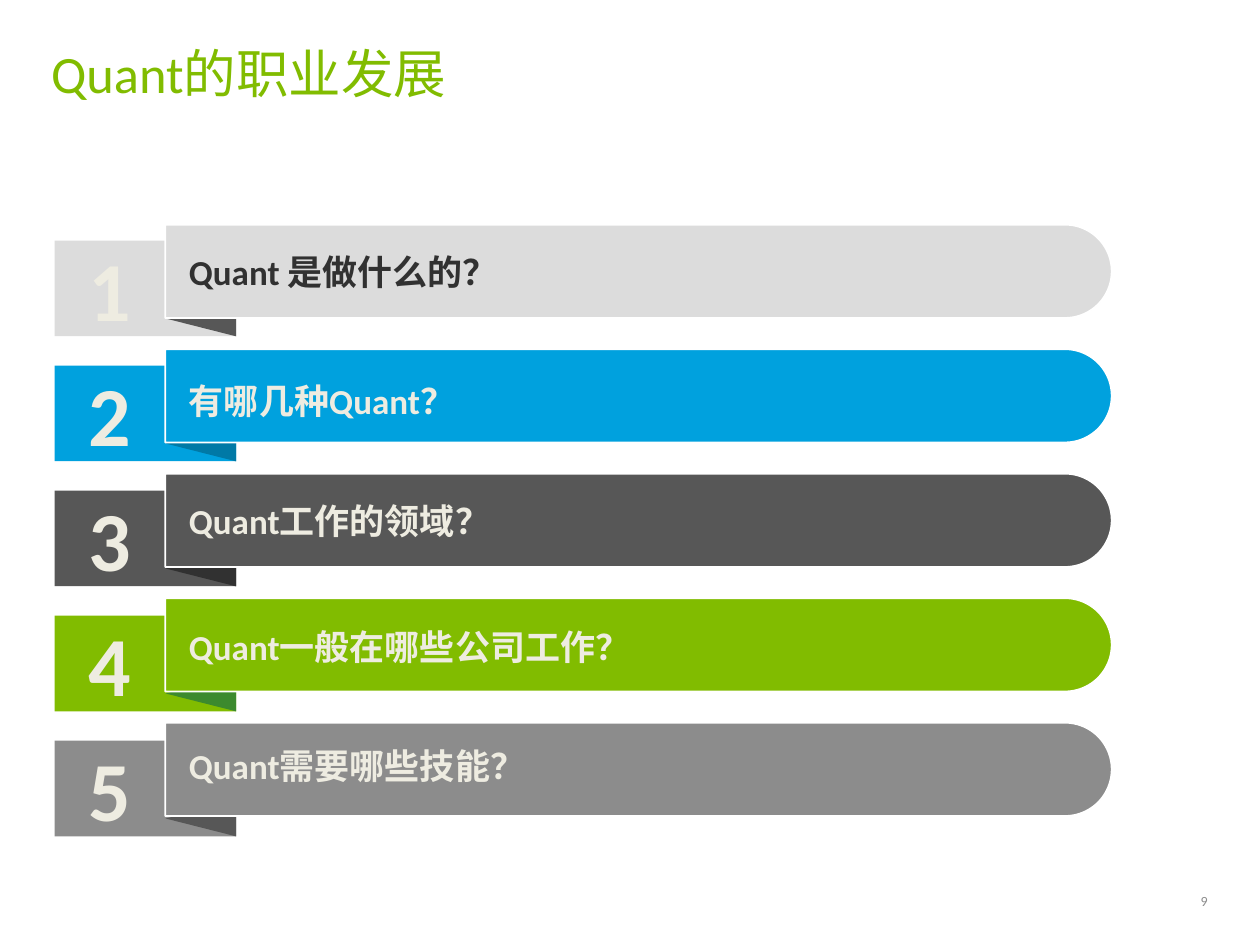
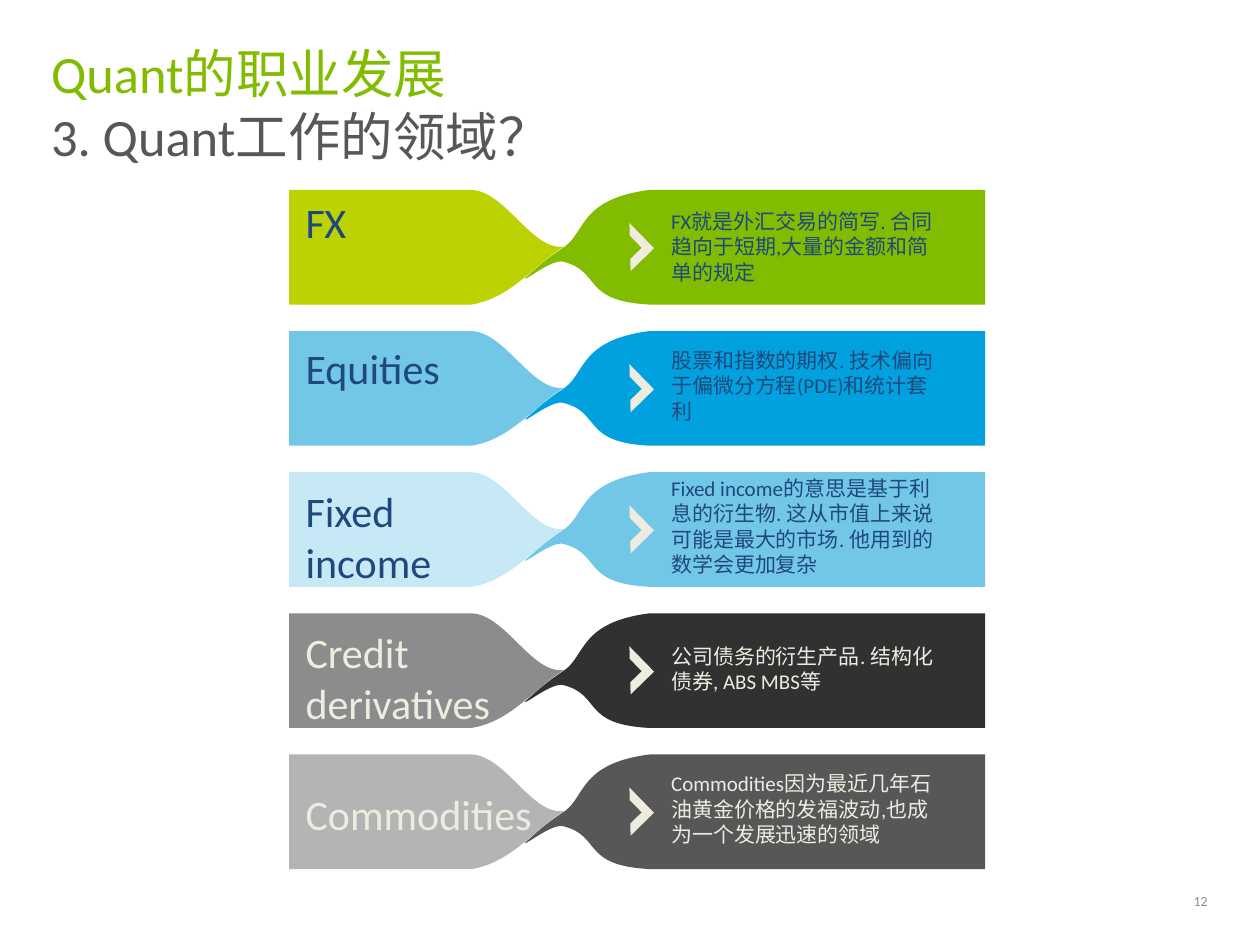
"""Builds two slides on quant careers: an agenda of ribbons and the fields of work."""
import dataclasses
import typing

import lxml.etree
import pptx
import pptx.dml.color
import pptx.enum.shapes
import pptx.enum.text
import pptx.oxml.ns
import pptx.util

Cm = pptx.util.Cm
Shape = pptx.enum.shapes.MSO_SHAPE
Align = pptx.enum.text.PP_ALIGN
Anchor = pptx.enum.text.MSO_ANCHOR
Fit = pptx.enum.text.MSO_AUTO_SIZE
qn = pptx.oxml.ns.qn
Point = tuple[float, float]


@dataclasses.dataclass(frozen=True)
class Theme:
    font: str = "Calibri"
    white: str = "FFFFFF"
    cream: str = "EEECE1"
    navy: str = "1F497D"
    green: str = "81BC00"
    forest: str = "3C8A2E"
    lime: str = "BDD203"
    blue: str = "00A1DE"
    deep_blue: str = "0079A6"
    sky: str = "72C7E7"
    ice: str = "C7E9F5"
    black: str = "313131"
    dark: str = "575757"
    gray: str = "8C8C8C"
    silver: str = "B4B4B4"
    pale: str = "DCDCDC"
    title_size: int = 30
    number_size: int = 48
    question_size: int = 20
    field_size: int = 24
    detail_size: int = 12
    footer_size: int = 8


THEME = Theme()


class Question(typing.NamedTuple):
    text: str
    top: float
    fill: str
    fold: str
    ink: str = THEME.cream


class Field(typing.NamedTuple):
    name: str
    name_top: float
    detail: str
    detail_top: float
    left_fill: str
    right_fill: str
    ink: str
    name_width: float = 4.09
    name_height: float = 1.22
    detail_height: float = 1.55


class Curve(typing.NamedTuple):
    first: Point
    second: Point
    end: Point


QUESTIONS = [
    Question("Quant 是做什么的？", 5.05, THEME.pale, THEME.dark, THEME.black),
    Question("有哪几种Quant？", 7.65, THEME.blue, THEME.deep_blue),
    Question("Quant工作的领域？", 10.06, THEME.dark, THEME.black),
    Question("Quant一般在哪些公司工作？", 12.6, THEME.green, THEME.forest),
    Question("Quant需要哪些技能？", 15.01, THEME.gray, THEME.dark),
]

FIELDS = [
    Field("FX", 3.86, "FX就是外汇交易的简写. 合同趋向于短期,大量的金额和简单的规定", 4.21,
          THEME.lime, THEME.green, THEME.navy, name_width=1.75),
    Field("Equities", 6.81, "股票和指数的期权. 技术偏向于偏微分方程(PDE)和统计套利", 7.01,
          THEME.sky, THEME.blue, THEME.navy),
    Field("Fixed income", 9.69,
          "Fixed income的意思是基于利息的衍生物. 这从市值上来说可能是最大的市场. 他用到的数学会更加复杂",
          9.59, THEME.ice, THEME.sky, THEME.navy, name_height=2.26, detail_height=2.06),
    Field("Credit derivatives", 12.54, "公司债务的衍生产品. 结构化债券, ABS MBS等", 12.97,
          THEME.gray, THEME.black, THEME.cream, name_height=2.26, detail_height=1.02),
    Field("Commodities", 15.8, "Commodities因为最近几年石油黄金价格的发福波动,也成为一个发展迅速的领域",
          15.54, THEME.silver, THEME.dark, THEME.cream, name_width=4.95),
]

LEFT_RIBBON = [
    (0, 0), (3.68, 0),
    Curve((4.37, 0.03), (4.9, 1.24), (5.54, 1.14)),
    Curve((4.93, 1.52), (4.47, 2.18), (3.68, 2.31)),
    (0, 2.31),
]
RIGHT_RIBBON = [
    (14.03, 0), (7.26, 0),
    Curve((5.87, 0.18), (5.97, 0.84), (5.56, 1.14)),
    Curve((5.13, 1.42), (4.93, 1.63), (4.75, 1.78)),
    Curve((4.75, 1.85), (5.31, 1.37), (5.54, 1.45)),
    Curve((6.3, 1.65), (5.89, 2.24), (7.26, 2.31)),
    (14.03, 2.31),
]


def rgb(color: str) -> pptx.dml.color.RGBColor:
    return pptx.dml.color.RGBColor.from_string(color)


def paint(shape, fill: str, line: str | None = None) -> None:
    shape.shadow.inherit = False
    shape.fill.solid()
    shape.fill.fore_color.rgb = rgb(fill)
    if line:
        shape.line.color.rgb = rgb(line)
        shape.line.width = pptx.util.Pt(1)
    else:
        shape.line.fill.background()


def add_turned(page, kind, center: Point, width: float, height: float, angle: float,
               fill: str, line: str | None = None, adjust: tuple[float, ...] = ()) -> None:
    shape = page.shapes.add_shape(kind, Cm(center[0] - width / 2), Cm(center[1] - height / 2),
                                  Cm(width), Cm(height))
    for index, value in enumerate(adjust):
        shape.adjustments[index] = value
    shape.rotation = angle
    paint(shape, fill, line)


def write(box, text: str, size: int, colors: list[str], inset: float = 0,
          bold: bool = False, align=Align.LEFT, anchor=Anchor.TOP, fit=Fit.NONE) -> None:
    frame = box.text_frame
    frame.word_wrap = True
    frame.auto_size = fit
    frame.vertical_anchor = anchor
    frame.margin_left = frame.margin_right = Cm(inset)
    frame.margin_top = frame.margin_bottom = Cm(inset)
    para = frame.paragraphs[0]
    para.text = text
    para.alignment = align
    for span, color in zip(para.runs, colors):
        span.font.name = THEME.font
        span.font.size = pptx.util.Pt(size)
        span.font.bold = bold
        span.font.color.rgb = rgb(color)


def add_text(page, left: float, top: float, width: float, height: float,
             text: str, size: int, color: str, **style) -> None:
    box = page.shapes.add_textbox(Cm(left), Cm(top), Cm(width), Cm(height))
    write(box, text, size, [color], **style)


def add_page(deck, subtitle: str, number: int):
    page = deck.slides.add_slide(deck.slide_layouts[5])
    box = page.shapes.title
    box.left, box.top, box.width, box.height = Cm(1.03), Cm(0.82), Cm(23.29), Cm(1.3)
    write(box, f"Quant的职业发展 \v{subtitle}", THEME.title_size, [THEME.green, THEME.dark])
    add_text(page, 22.14, 17.8, 2.21, 0.71, str(number), THEME.footer_size, THEME.gray,
             align=Align.RIGHT, anchor=Anchor.MIDDLE)
    return page


def add_question(page, row: int, question: Question) -> None:
    block_top = 4.85 + 2.52 * row
    block_height = 1.93
    fold_height = 0.72
    block = page.shapes.add_shape(Shape.RECTANGLE, Cm(1.1), Cm(block_top),
                                  Cm(3.66), Cm(block_height))
    paint(block, question.fill)
    add_turned(page, Shape.ISOSCELES_TRIANGLE,
               (4.05, block_top + block_height - fold_height / 2),
               fold_height, 1.42, 270, question.fold)
    add_turned(page, Shape.ROUND_2_SAME_RECTANGLE, (12.87, 5.47 + 2.51 * row),
               1.88, 19.08, 90, question.fill, THEME.white, (0.5, 0))
    add_text(page, 1.24, block_top - 0.17, 1.93, 2.26, str(row + 1), THEME.number_size,
             THEME.cream, inset=0.1, bold=True, align=Align.CENTER, fit=Fit.SHAPE_TO_FIT_TEXT)
    add_text(page, 3.81, question.top, 17.65, 0.86, question.text, THEME.question_size,
             question.ink, bold=True, fit=Fit.SHAPE_TO_FIT_TEXT)


def add_ribbon(group, outline: list, left: float, top: float, fill: str) -> None:
    points = []
    for part in outline:
        points.extend(part if isinstance(part, Curve) else [part])
    places = [(Cm(left + x), Cm(top + y)) for x, y in points]
    builder = group.shapes.build_freeform(*places[0])
    builder.add_line_segments(places[1:], close=True)
    shape = builder.convert_to_shape()
    segments = iter(list(shape.element.iter(qn("a:lnTo"))))
    for part in outline[1:]:
        segment = next(segments)
        if isinstance(part, Curve):
            bend = lxml.etree.Element(qn("a:cubicBezTo"))
            segment.addprevious(bend)
            for piece in (segment, next(segments), next(segments)):
                bend.append(piece[0])
                piece.getparent().remove(piece)
    paint(shape, fill)


def add_field(page, row: int, field: Field) -> None:
    left, top = 5.83, 3.83 + 2.845 * row
    group = page.shapes.add_group_shape()
    add_ribbon(group, LEFT_RIBBON, left, top, field.left_fill)
    add_ribbon(group, RIGHT_RIBBON, left, top, field.right_fill)
    add_text(page, 6.06, field.name_top, field.name_width, field.name_height, field.name,
             THEME.field_size, field.ink, inset=0.1, fit=Fit.SHAPE_TO_FIT_TEXT)
    add_turned(page, Shape.HALF_FRAME, (12.7, top + 1.15), 0.66, 0.71, 135.7,
               THEME.cream, adjust=(0.27, 0.26))
    add_text(page, 13.53, field.detail_top, 5.41, field.detail_height, field.detail,
             THEME.detail_size, field.ink, fit=Fit.SHAPE_TO_FIT_TEXT)


def main() -> None:
    deck = pptx.Presentation()
    deck.slide_width, deck.slide_height = Cm(25.4), Cm(19.05)
    agenda = add_page(deck, "", 9)
    for row, question in enumerate(QUESTIONS):
        add_question(agenda, row, question)
    fields = add_page(deck, "3. Quant工作的领域？", 12)
    for row, field in enumerate(FIELDS):
        add_field(fields, row, field)
    deck.save("out.pptx")


if __name__ == "__main__":
    main()
